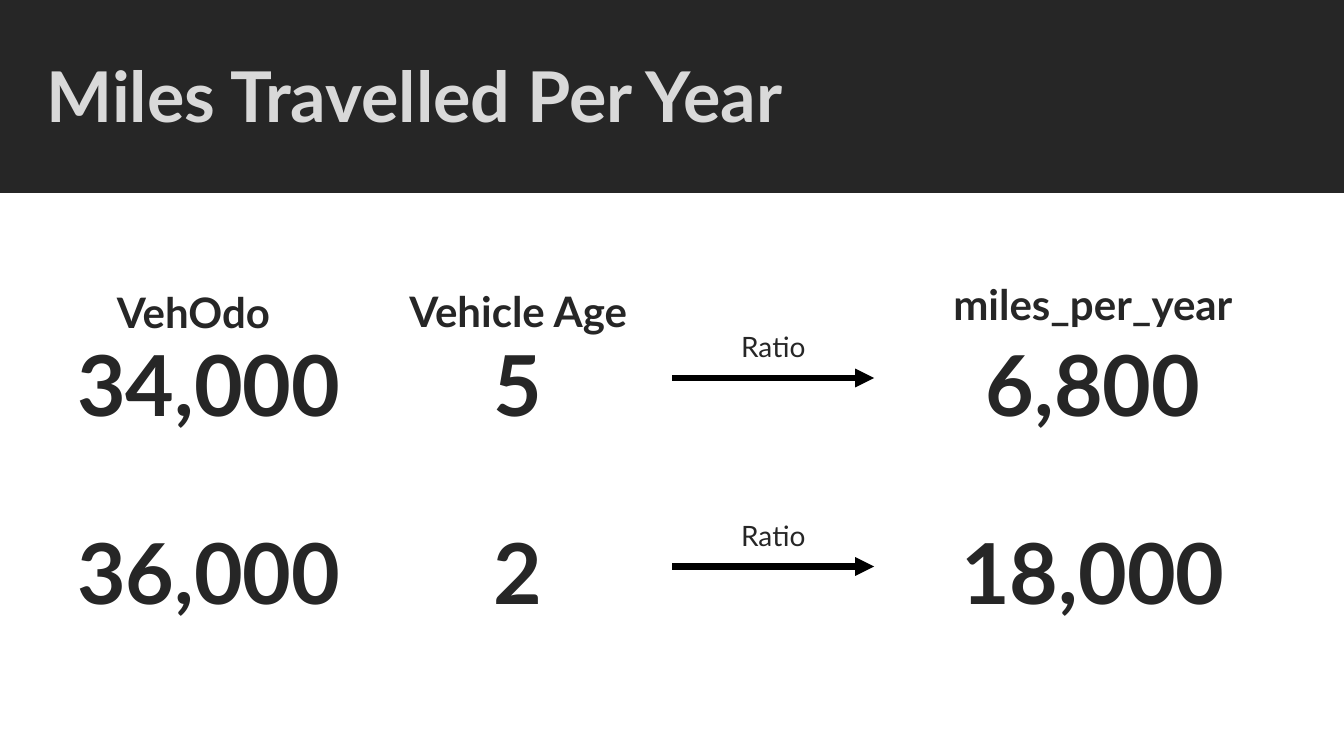
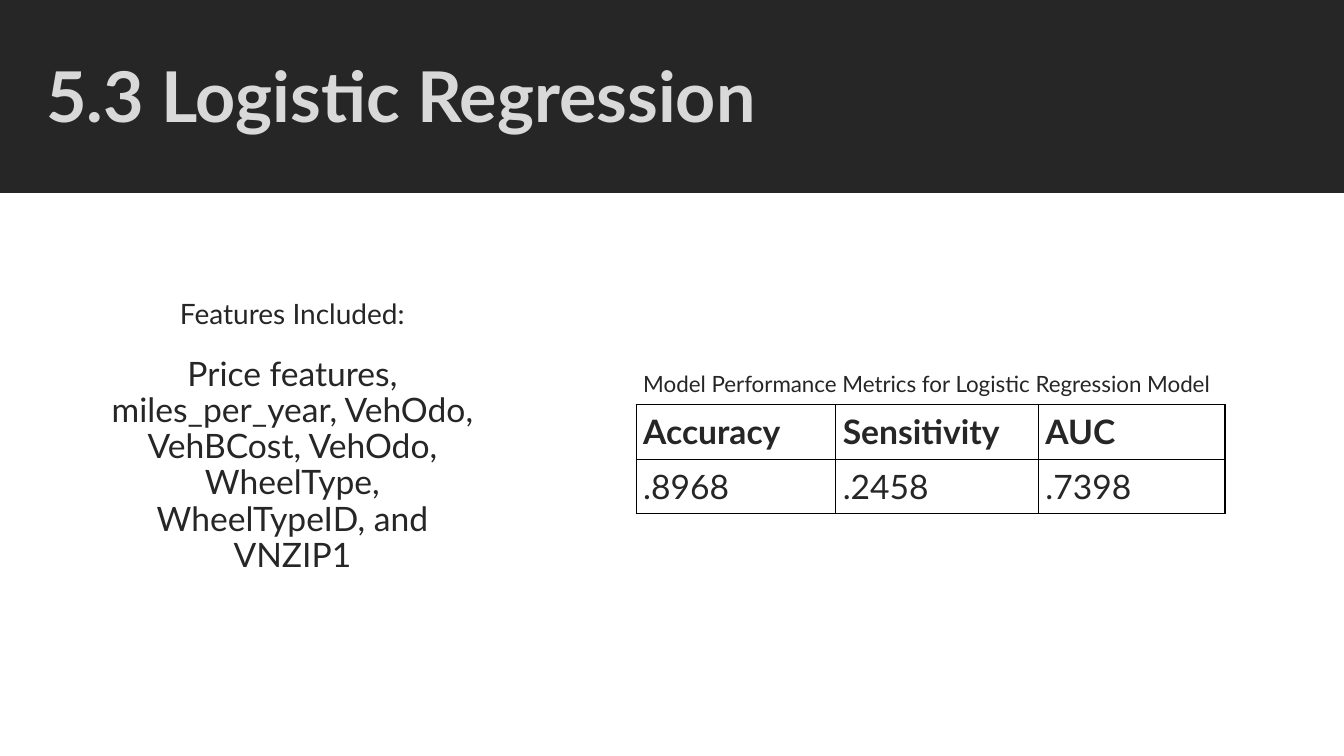
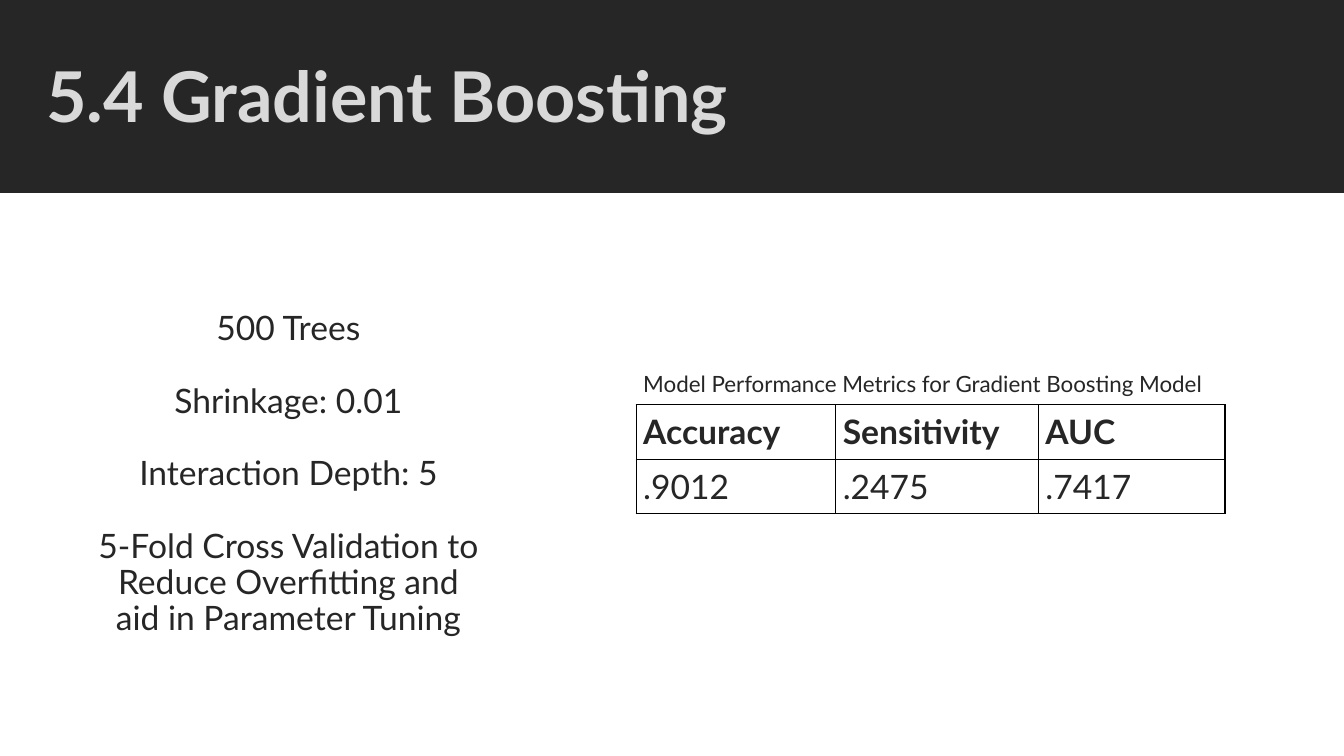
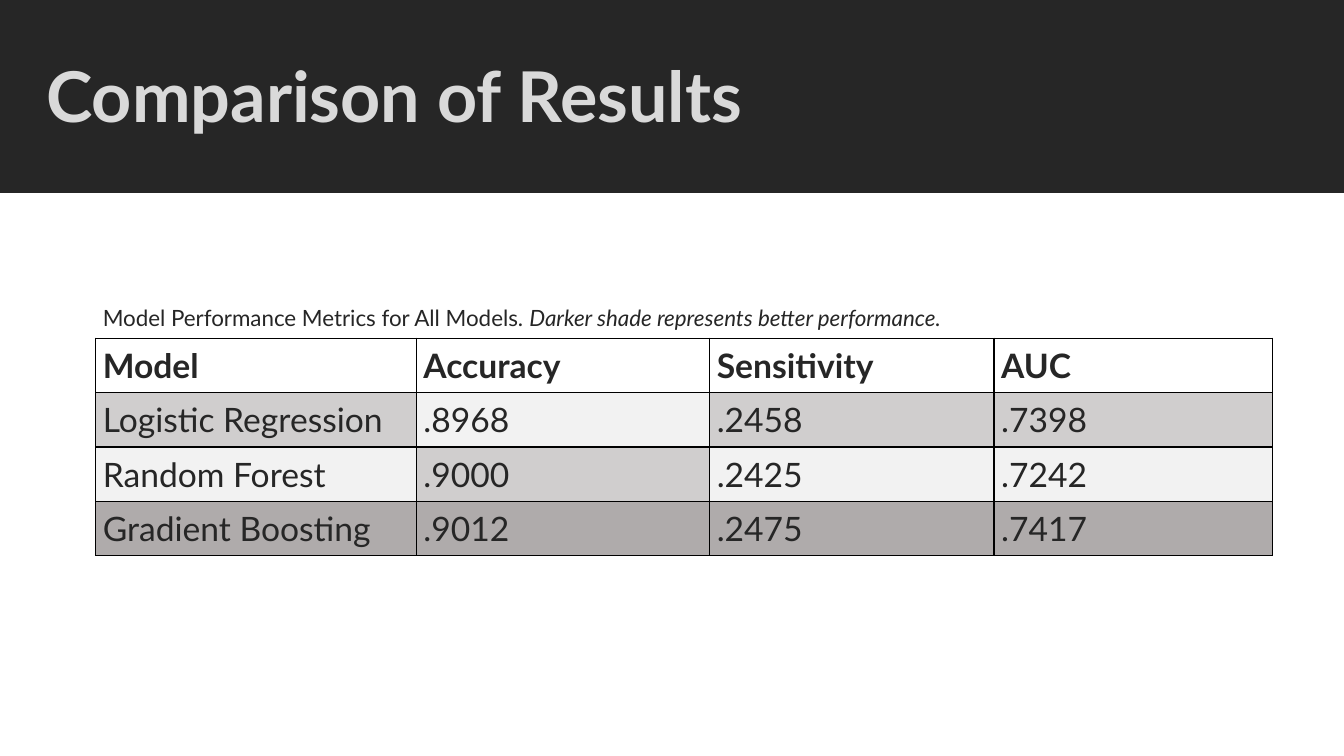
from dataclasses import dataclass

from lxml import etree
from pptx import Presentation
from pptx.dml.color import RGBColor
from pptx.enum import shapes, text
from pptx.oxml import ns
from pptx.util import Inches, Pt


@dataclass(frozen=True)
class Theme:
    font: str = "Lato"
    # Colours
    dark: str = "262626"
    title: str = "D9D9D9"
    line: str = "000000"
    shades: tuple = ("F2F2F2", "D0CECE", "AFABAB")  # worst to best
    # Type sizes
    title_size: int = 50
    number_size: int = 60
    label_size: int = 30
    body_size: int = 24
    note_size: int = 20
    caption_size: int = 16
    line_spacing: float = 0.9


THEME = Theme()
METRICS = ["Accuracy", "Sensitivity", "AUC"]
RESULTS = {
    "Logistic Regression": [".8968", ".2458", ".7398"],
    "Random Forest": [".9000", ".2425", ".7242"],
    "Gradient Boosting": [".9012", ".2475", ".7417"],
}


def rgb(colour):
    return RGBColor.from_string(colour)


# Text
def add_run(paragraph, content, size, colour=THEME.dark, bold=False, italic=False):
    run = paragraph.add_run()
    run.text = content
    font = run.font
    font.name, font.size = THEME.font, Pt(size)
    font.bold, font.italic = bold, italic
    font.color.rgb = rgb(colour)


def set_frame(frame):
    frame.word_wrap = True
    frame.auto_size = text.MSO_AUTO_SIZE.NONE
    frame.vertical_anchor = text.MSO_ANCHOR.BOTTOM


def add_text(slide, center, top, width, height, lines, size, bold=False, gap=0):
    """Add centred lines that stand on the bottom of a box around center."""
    box = slide.shapes.add_textbox(
        Inches(center - width / 2), Inches(top), Inches(width), Inches(height))
    frame = box.text_frame
    set_frame(frame)
    for index, line in enumerate(lines):
        paragraph = frame.add_paragraph() if index else frame.paragraphs[0]
        paragraph.alignment = text.PP_ALIGN.CENTER
        paragraph.line_spacing = THEME.line_spacing
        if index and gap:
            paragraph.space_before = Pt(gap)
        add_run(paragraph, line, size, bold=bold)


def add_label(slide, center, top, content, size, bold=False):
    add_text(slide, center, top, 4.64, 0.66, [content], size, bold)


def add_number(slide, center, top, content):
    add_text(slide, center, top, 5, 1.14, [content], THEME.number_size, bold=True)


# Slide with a dark title band
def add_titled_slide(presentation, heading):
    slide = presentation.slides.add_slide(presentation.slide_layouts[5])
    title = slide.shapes.title
    band = slide.shapes.add_shape(
        shapes.MSO_SHAPE.RECTANGLE, 0, 0, presentation.slide_width, Inches(1.91))
    band.shadow.inherit = False
    band.fill.solid()
    band.fill.fore_color.rgb = rgb(THEME.dark)
    band.line.color.rgb = rgb(THEME.dark)
    band.line.width = Pt(1)
    title._element.addprevious(band._element)  # band goes behind the title

    title.left, title.top = Inches(0.36), Inches(0.14)
    title.width, title.height = Inches(12.83), Inches(1.28)
    set_frame(title.text_frame)
    paragraph = title.text_frame.paragraphs[0]
    paragraph.alignment = text.PP_ALIGN.LEFT
    paragraph.line_spacing = THEME.line_spacing
    add_run(paragraph, heading, THEME.title_size, THEME.title, bold=True)
    return slide


# Arrow
def add_arrow(slide, left, right, y):
    arrow = slide.shapes.add_connector(
        shapes.MSO_CONNECTOR.STRAIGHT, Inches(left), Inches(y), Inches(right), Inches(y))
    arrow.line.color.rgb = rgb(THEME.line)
    arrow.line.width = Pt(4.5)
    etree.SubElement(arrow.line._get_or_add_ln(), ns.qn("a:tailEnd"), type="triangle")
    etree.SubElement(arrow._element.spPr, ns.qn("a:effectLst"))


# Tables
def set_borders(cell, visible):
    properties = cell._tc.get_or_add_tcPr()
    for side in ("L", "R", "T", "B"):
        line = etree.SubElement(properties, ns.qn(f"a:ln{side}"), w=str(Pt(1)))
        if side in visible:
            fill = etree.SubElement(line, ns.qn("a:solidFill"))
            etree.SubElement(fill, ns.qn("a:srgbClr"), val=THEME.line)
        else:
            etree.SubElement(line, ns.qn("a:noFill"))


def format_cell(cell, borders, shade=None):
    cell.margin_left = cell.margin_right = Inches(0.07)
    cell.margin_top = cell.margin_bottom = Inches(0.07)
    set_borders(cell, borders)
    if shade:
        cell.fill.solid()
        cell.fill.fore_color.rgb = rgb(shade)
    else:
        cell.fill.background()


def add_metrics_table(slide, left, top, widths, caption, rows, shades=None, remark=None):
    """Add a caption row, a bold header row and value rows."""
    heights = [0.4] + [0.54] * len(rows)
    table = slide.shapes.add_table(
        len(heights), len(widths), Inches(left), Inches(top),
        Inches(sum(widths)), Inches(sum(heights))).table
    table.first_row = table.horz_banding = False
    for column, width in zip(table.columns, widths):
        column.width = Inches(width)
    for row, height in zip(table.rows, heights):
        row.height = Inches(height)

    # Caption
    for cell in table.rows[0].cells:
        format_cell(cell, "B")
    table.cell(0, 0).merge(table.cell(0, len(widths) - 1))
    paragraph = table.cell(0, 0).text_frame.paragraphs[0]
    add_run(paragraph, caption, THEME.caption_size)
    if remark:
        add_run(paragraph, remark, THEME.caption_size, italic=True)

    # Header and values
    for r, row in enumerate(rows):
        for c, value in enumerate(row):
            cell = table.cell(r + 1, c)
            format_cell(cell, "LRTB", shades[r - 1][c] if shades and r else None)
            add_run(cell.text_frame.paragraphs[0], value, THEME.body_size, bold=r == 0)


def rank_shades(results):
    """Shade each metric by rank; the model name takes the shade of its AUC."""
    columns = [sorted(column) for column in zip(*results)]
    shades = [[THEME.shades[column.index(value)] for column, value in zip(columns, row)]
              for row in results]
    return [[row[-1], *row] for row in shades]


# Slides
def add_ratio_slide(presentation):
    slide = add_titled_slide(presentation, "Miles Travelled Per Year")
    odometer, age, ratio, result = 2.07, 5.14, 7.67, 10.84
    for center, top, name in ((odometer - 0.15, 2.74, "VehOdo"),
                              (age, 2.73, "Vehicle Age"),
                              (result, 2.66, "miles_per_year")):
        add_label(slide, center, top, name, THEME.label_size, bold=True)
    examples = (("34,000", "5", "6,800"), ("36,000", "2", "18,000"))
    for index, values in enumerate(examples):
        top = 3.22 + 1.87 * index
        for center, value in zip((odometer, age, result), values):
            add_number(slide, center, top, value)
        add_label(slide, ratio, top - 0.22, "Ratio", THEME.note_size)
        add_arrow(slide, ratio - 1, ratio + 1, top + 0.53)


def add_model_slide(presentation, number, model):
    slide = add_titled_slide(presentation, f"{number} {model}")
    add_metrics_table(slide, 6.31, 3.61, [1.98, 2.01, 1.85],
                      f"Model Performance Metrics for {model} Model",
                      [METRICS, RESULTS[model]])
    return slide


def add_comparison_slide(presentation):
    slide = add_titled_slide(presentation, "Comparison of Results")
    rows = [["Model", *METRICS]] + [[model, *values] for model, values in RESULTS.items()]
    add_metrics_table(slide, 0.95, 2.95, [3.18, 2.91, 2.82, 2.76],
                      "Model Performance Metrics for All Models. ", rows,
                      rank_shades(list(RESULTS.values())),
                      "Darker shade represents better performance.")


def main():
    presentation = Presentation()
    presentation.slide_width, presentation.slide_height = Inches(13.33), Inches(7.5)

    add_ratio_slide(presentation)

    slide = add_model_slide(presentation, "5.3", "Logistic Regression")
    add_label(slide, 2.9, 2.67, "Features Included:", THEME.note_size)
    add_text(slide, 2.9, 5.09, 4.08, 0.66,
             ["Price features, miles_per_year, VehOdo, VehBCost, VehOdo, "
              "WheelType, WheelTypeID, and VNZIP1"], THEME.body_size)

    slide = add_model_slide(presentation, "5.4", "Gradient Boosting")
    add_text(slide, 2.86, 5.72, 4.08, 0.66,
             ["500 Trees", "Shrinkage: 0.01", "Interaction Depth: 5",
              "5-Fold Cross Validation to Reduce Overfitting and aid in Parameter Tuning"],
             THEME.body_size, gap=26)

    add_comparison_slide(presentation)
    presentation.save("out.pptx")


if __name__ == "__main__":
    main()
